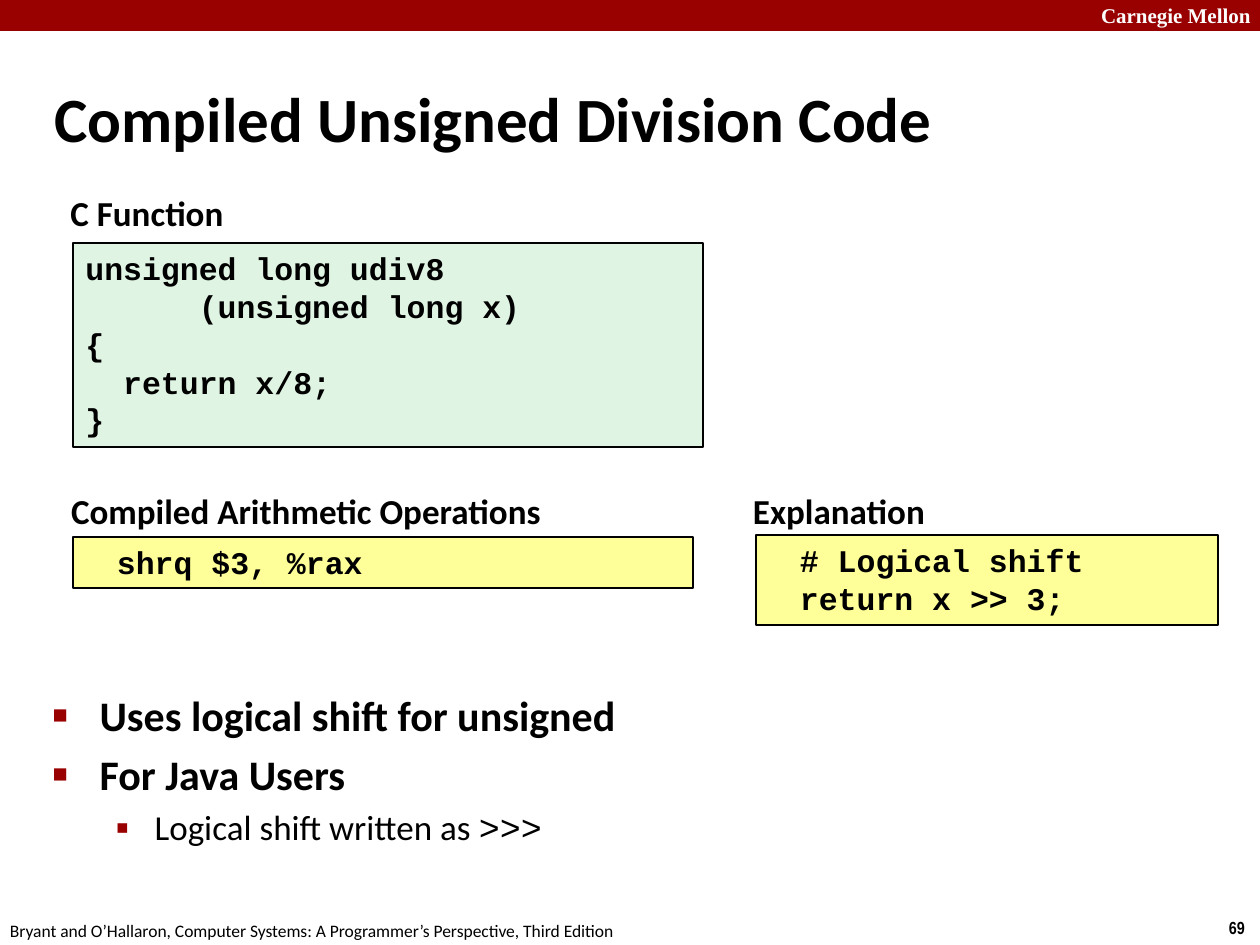
"""Build the slide on compiled unsigned division code."""
import pptx
import pptx.util
import pptx.dml.color
import pptx.enum.shapes
import pptx.enum.text
import pptx.oxml
import pptx.oxml.ns
from dataclasses import dataclass

PX = 914400 / 126


@dataclass(frozen=True)
class Theme:
    black: str = "000000"
    white: str = "FFFFFF"
    red: str = "990000"
    green: str = "E0F4E3"
    yellow: str = "FFFF99"
    text: str = "Calibri"
    code: str = "Courier New"
    title_size: int = 36
    body_size: int = 24
    label_size: int = 20
    code_size: int = 18
    brand_size: int = 12
    footer_size: int = 10


def px(*values):
    return [round(value * PX) for value in values]


def style(font, name, size, color, bold):
    font.name, font.size, font.bold = name, pptx.util.Pt(size), bold
    font.color.rgb = pptx.dml.color.RGBColor.from_string(color)


theme = Theme()
rgb = pptx.dml.color.RGBColor.from_string
align = pptx.enum.text.PP_ALIGN
anchor = pptx.enum.text.MSO_ANCHOR
rectangle = pptx.enum.shapes.MSO_SHAPE.RECTANGLE
namespace = pptx.oxml.ns.nsdecls("a")

deck = pptx.Presentation()
deck.slide_width, deck.slide_height = px(1260, 945)
page = deck.slides.add_slide(deck.slide_layouts[1])
title, body = page.placeholders

# Header bar
bar = page.shapes.add_shape(rectangle, *px(0, 0, 1260, 31))
bar.shadow.inherit = False
bar.fill.solid()
bar.fill.fore_color.rgb = rgb(theme.red)
bar.line.fill.background()

# Title
title.left, title.top, title.width, title.height = px(42, 78, 1092, 79)
title.text_frame.auto_size = pptx.enum.text.MSO_AUTO_SIZE.NONE
title.text_frame.vertical_anchor = anchor.MIDDLE
title.text_frame.text = "Compiled Unsigned Division Code"
para = title.text_frame.paragraphs[0]
para.alignment = align.LEFT
style(para.font, theme.text, theme.title_size, theme.black, True)

# Bulleted list
body.left, body.top, body.width, body.height = px(40, 683, 1145, 164)
body.text_frame.auto_size = pptx.enum.text.MSO_AUTO_SIZE.NONE
bullets = [
    (0, ["Uses logical shift for unsigned"], 0),
    (0, ["For Java Users"], 5),
    (1, ["Logical shift written as ", ">>>"], 4),
]
levels = [
    (47, 47, "■", 60, theme.body_size, True),
    (102, 39, "▪", 110, theme.label_size, False),
]
for index, (level, texts, gap) in enumerate(bullets):
    margin, hanging, mark, percent, size, bold = levels[level]
    para = body.text_frame.paragraphs[0] if index == 0 else body.text_frame.add_paragraph()
    para.level = level
    para.space_before = pptx.util.Pt(gap)
    properties = para._p.get_or_add_pPr()
    properties.set("marL", str(px(margin)[0]))
    properties.set("indent", str(px(-hanging)[0]))
    for xml in (
        f'<a:buClr {namespace}><a:srgbClr val="{theme.red}"/></a:buClr>',
        f'<a:buSzPct {namespace} val="{percent * 1000}"/>',
        f'<a:buChar {namespace} char="{mark}"/>',
    ):
        properties.append(pptx.oxml.parse_xml(xml))
    style(para.font, theme.text, size, theme.black, bold)
    for text in texts:
        span = para.add_run()
        span.text = text
        if text == ">>>":
            span.font.name = theme.code

# Code boxes
code_boxes = [
    ((73, 243, 630, 204), theme.green,
     ["unsigned long udiv8", "      (unsigned long x)", "{", "  return x/8;", "}"]),
    ((73, 537, 620, 51), theme.yellow, ["\tshrq\t$3, %rax"]),
    ((756, 535, 462, 90), theme.yellow, ["\t# Logical shift", "\treturn x >> 3;"]),
]
for place, fill, lines in code_boxes:
    box = page.shapes.add_shape(rectangle, *px(*place))
    box.shadow.inherit = False
    box.fill.solid()
    box.fill.fore_color.rgb = rgb(fill)
    box.line.color.rgb = rgb(theme.black)
    box.line.width = pptx.util.Pt(1)
    box.text_frame.word_wrap = True
    box.text_frame.vertical_anchor = anchor.TOP
    box.text_frame.text = "\n".join(lines)
    for para in box.text_frame.paragraphs:
        para.alignment = align.LEFT
        if "\t" in para.text:
            para._p.get_or_add_pPr().append(pptx.oxml.parse_xml(
                f'<a:tabLst {namespace}><a:tab pos="228600" algn="l"/></a:tabLst>'))
        style(para.font, theme.code, theme.code_size, theme.black, True)

# Labels, header name and footer
label = (theme.text, theme.label_size, theme.black, True)
texts = [
    ((63, 185, 168, 55), "C Function", label, align.CENTER, 6),
    ((63, 483, 486, 55), "Compiled Arithmetic Operations", label, align.CENTER, 6),
    ((746, 483, 186, 55), "Explanation", label, align.CENTER, 6),
    ((1089, -4, 180, 38), "Carnegie Mellon",
     ("Times New Roman", theme.brand_size, theme.white, True), align.LEFT, 12),
    ((1217, 911, 43, 34), "69",
     ("Arial Narrow", theme.footer_size, theme.black, True), align.LEFT, 12),
    ((-2, 914, 640, 34),
     "Bryant and O’Hallaron, Computer Systems: A Programmer’s Perspective, Third Edition",
     (theme.text, theme.footer_size, theme.black, False), align.LEFT, 12),
]
for place, text, look, alignment, inset in texts:
    box = page.shapes.add_textbox(*px(*place))
    frame = box.text_frame
    frame.word_wrap = False
    frame.margin_left, frame.margin_right = px(inset, inset)
    frame.text = text
    frame.paragraphs[0].alignment = alignment
    style(frame.paragraphs[0].font, *look)

deck.save("out.pptx")
